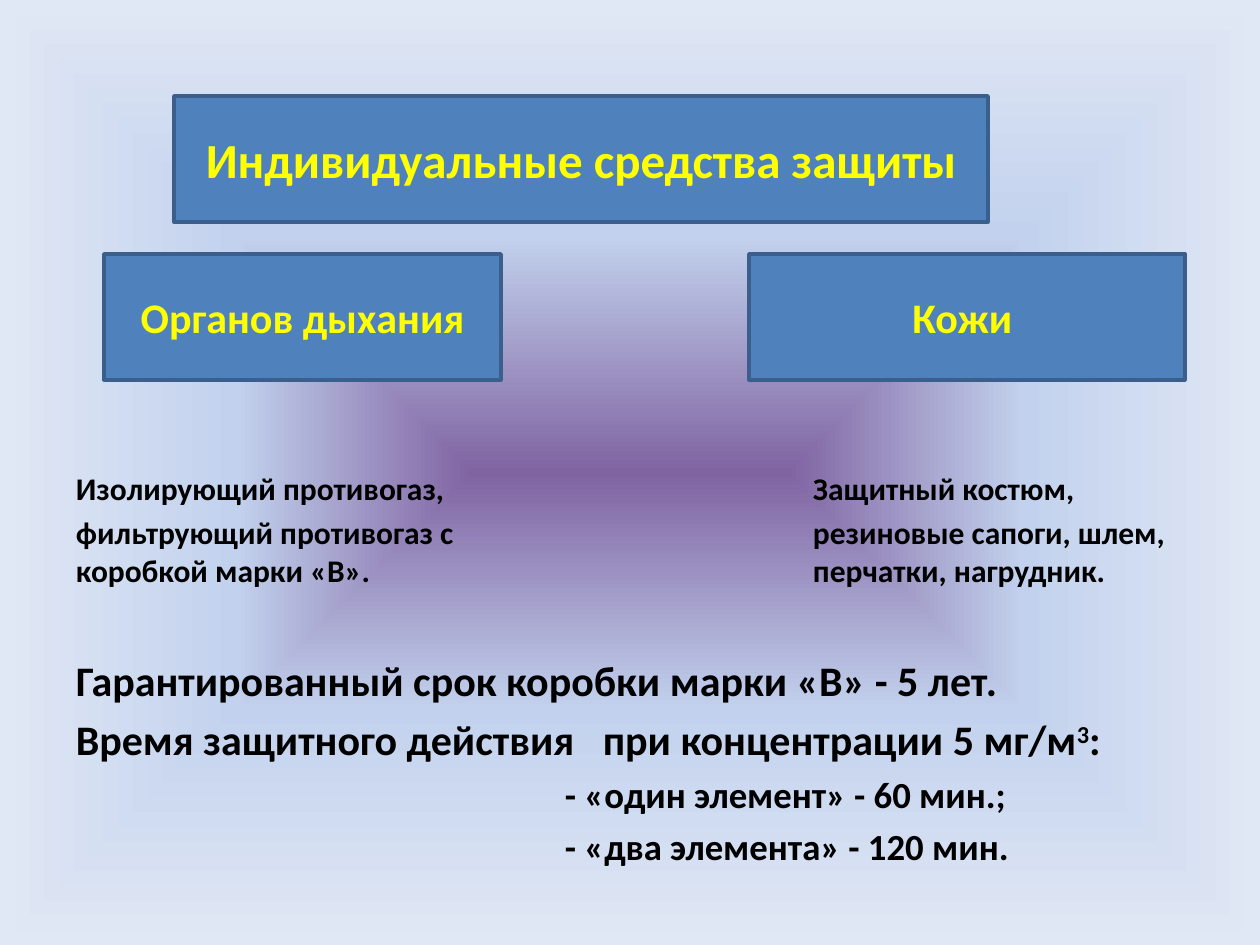
"""Build a slide on personal protective equipment for breathing and skin."""
import pptx
import pptx.dml.color
import pptx.enum.text
import pptx.oxml.ns
import pptx.util
from lxml import etree
from pptx.enum.shapes import MSO_SHAPE

FONT = "Calibri"
GRADIENT = [(0, "8064A2"), (50, "C2D1ED"), (100, "E1E8F5")]
TITLE = ("Индивидуальные средства защиты", 28, (174, 96, 814, 126))
BRANCHES = [
    ("Органов дыхания", 24, (104, 254, 397, 126)),
    ("Кожи ", 24, (749, 254, 436, 126)),
]
NOTES = [
    (18, (76, 469, 400, 122), [
        ["Изолирующий противогаз,"],
        ["фильтрующий противогаз с коробкой марки «В»."],
    ]),
    (18, (813, 469, 400, 122), [
        ["Защитный костюм,"],
        ["резиновые сапоги, шлем, перчатки, нагрудник."],
    ]),
    (24, (76, 655, 1120, 111), [
        ["Гарантированный срок коробки марки «В» - 5 лет."],
        ["Время защитного действия   при концентрации 5 мг/м", "3", ":"],
    ]),
    (21, (565, 772, 630, 97), [
        ["- «один элемент» - 60 мин.;"],
        ["- «два элемента» - 120 мин."],
    ]),
]


def px(n):
    return pptx.util.Emu(round(n * 914400 / 126))


def rgb(value):
    return pptx.dml.color.RGBColor.from_string(value)


def place(sp, box):
    sp.left, sp.top, sp.width, sp.height = map(px, box)


def add_run(p, text, size, color):
    r = p.add_run()
    r.text = text
    r.font.name = FONT
    r.font.size = pptx.util.Pt(size)
    r.font.bold = True
    r.font.color.rgb = rgb(color)
    return r


def paint_background(s):
    s.background.fill.gradient()
    grad = s.element.xpath(".//p:bgPr/a:gradFill")[0]
    for child in list(grad):
        grad.remove(child)
    qn = pptx.oxml.ns.qn
    stops = etree.SubElement(grad, qn("a:gsLst"))
    for pos, color in GRADIENT:
        stop = etree.SubElement(stops, qn("a:gs"), pos=str(pos * 1000))
        etree.SubElement(stop, qn("a:srgbClr"), val=color)
    shade = etree.SubElement(grad, qn("a:path"), path="shape")
    etree.SubElement(shade, qn("a:fillToRect"), l="50000", t="50000", r="50000", b="50000")


def format_box(sp, text, size, box):
    place(sp, box)
    sp.fill.solid()
    sp.fill.fore_color.rgb = rgb("4F81BD")
    sp.line.color.rgb = rgb("3A5F8C")
    sp.line.width = pptx.util.Pt(2)
    tf = sp.text_frame
    tf.word_wrap = True
    tf.auto_size = pptx.enum.text.MSO_AUTO_SIZE.NONE
    tf.vertical_anchor = pptx.enum.text.MSO_ANCHOR.MIDDLE
    p = tf.paragraphs[0]
    p.alignment = pptx.enum.text.PP_ALIGN.CENTER
    add_run(p, text, size, "FFFF00")


def add_note(s, size, box, paragraphs):
    tf = s.shapes.add_textbox(*map(px, box)).text_frame
    tf.word_wrap = True
    tf.margin_left = tf.margin_right = tf.margin_top = tf.margin_bottom = 0
    for i, parts in enumerate(paragraphs):
        p = tf.add_paragraph() if i else tf.paragraphs[0]
        p.space_before = pptx.util.Pt(round(size * 0.2, 1) if i else 0)
        for j, text in enumerate(parts):
            r = add_run(p, text, size, "000000")
            if j == 1:
                r.font._element.set("baseline", "30000")


def main():
    prs = pptx.Presentation()
    prs.slide_width, prs.slide_height = px(1260), px(945)
    s = prs.slides.add_slide(prs.slide_layouts[5])
    paint_background(s)
    format_box(s.shapes.title, *TITLE)
    for text, size, box in BRANCHES:
        sp = s.shapes.add_shape(MSO_SHAPE.RECTANGLE, *map(px, box))
        sp.shadow.inherit = False
        format_box(sp, text, size, box)
    for note in NOTES:
        add_note(s, *note)
    prs.save("out.pptx")


if __name__ == "__main__":
    main()
